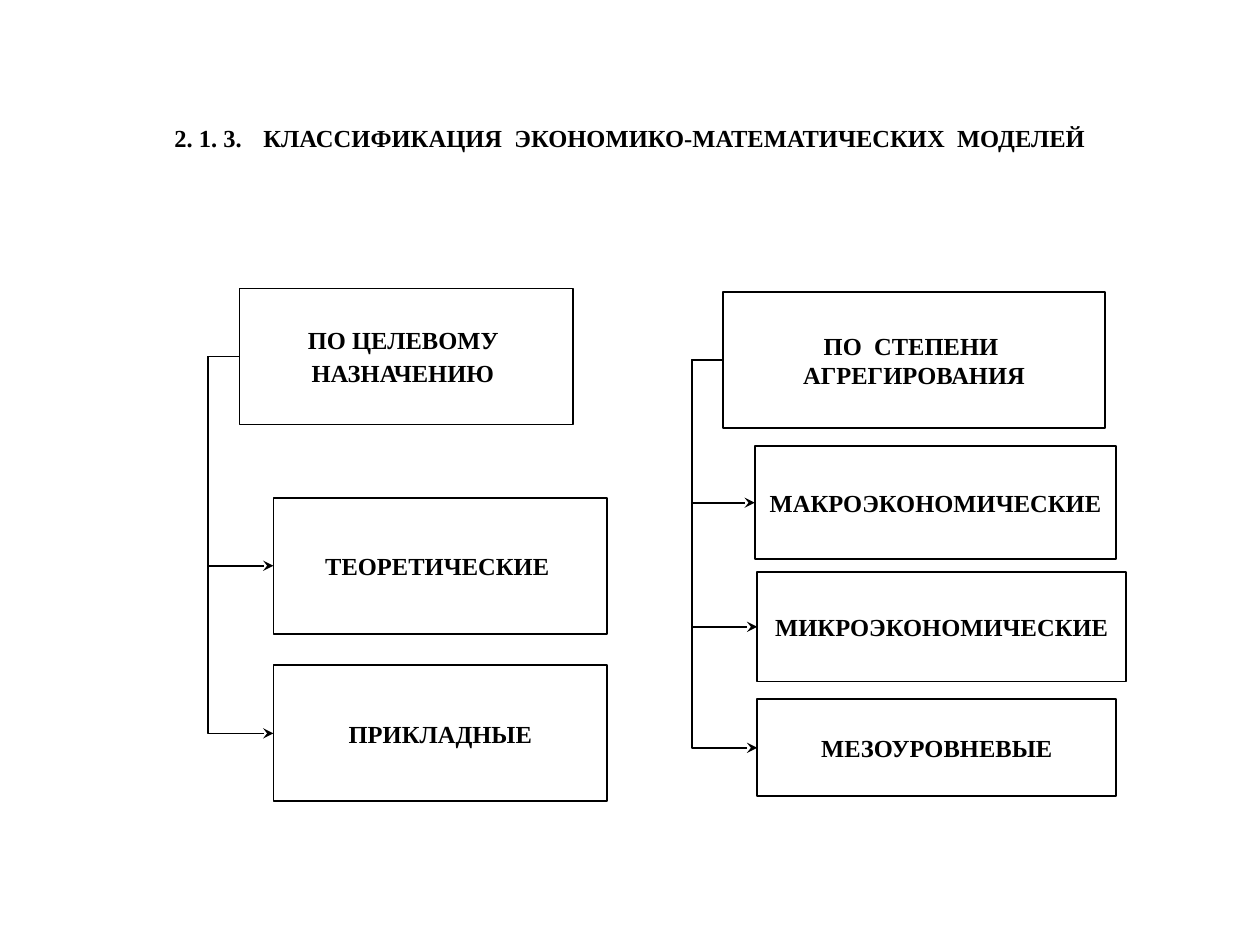
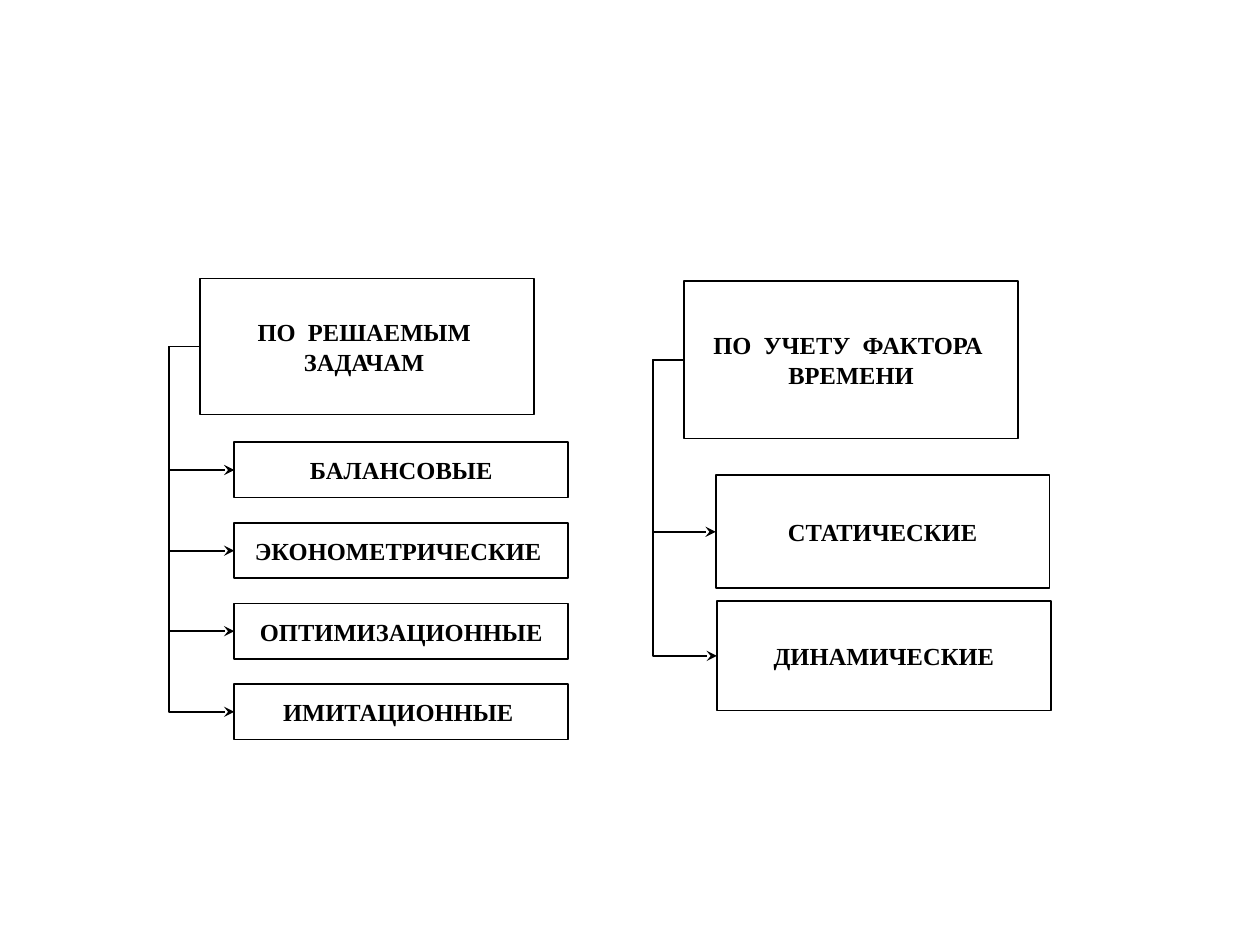
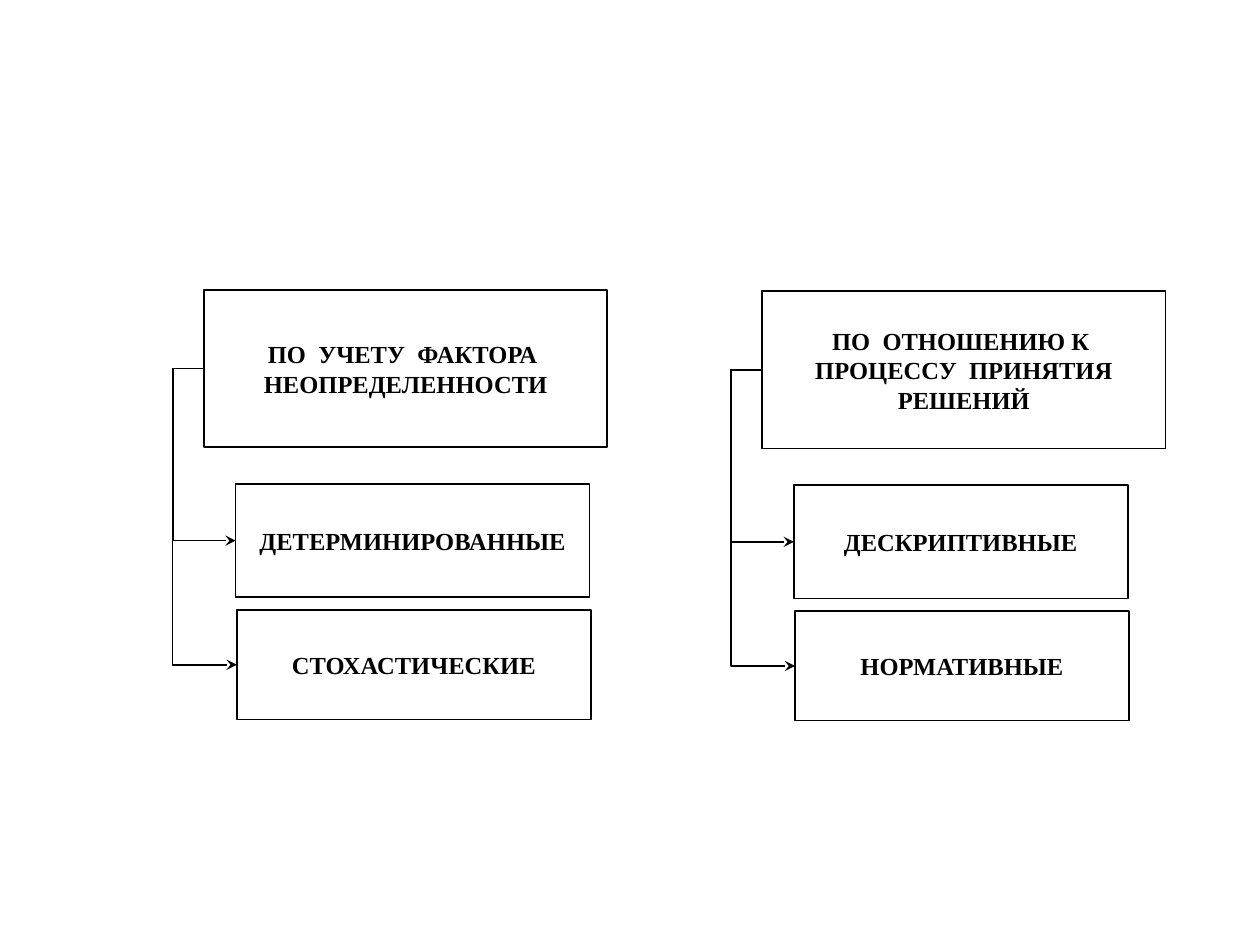
import pptx
import pptx.util
import pptx.dml.color
import pptx.enum.shapes
import pptx.enum.text
import pptx.oxml
import pptx.oxml.ns

COLORS = {"ink": "000000"}
FONT = "Times New Roman"
SPINE_GAP = 0.25
Inches = pptx.util.Inches


def ink():
    return pptx.dml.color.RGBColor.from_string(COLORS["ink"])


def write(para, text, size=14, font=FONT, bold=True):
    span = para.add_run()
    span.text = text
    span.font.size = pptx.util.Pt(size)
    span.font.name = font
    span.font.bold = bold
    span.font.color.rgb = ink()


def center_text(box):
    frame = box.text_frame
    frame.word_wrap = True
    frame.vertical_anchor = pptx.enum.text.MSO_ANCHOR.MIDDLE
    para = frame.paragraphs[0]
    para.alignment = pptx.enum.text.PP_ALIGN.CENTER
    return para


def add_title(page, number, text):
    box = page.shapes.add_textbox(Inches(0.5), Inches(0.3), Inches(9), Inches(1.25))
    para = center_text(box)
    write(para, number)
    write(para, " ", size=44, font="Arial", bold=False)
    write(para, text)


def add_box(page, text, left, top, width, height):
    box = page.shapes.add_shape(
        pptx.enum.shapes.MSO_SHAPE.RECTANGLE,
        Inches(left), Inches(top), Inches(width), Inches(height))
    box.shadow.inherit = False
    box.fill.background()
    box.line.color.rgb = ink()
    box.line.width = pptx.util.Pt(1)
    write(center_text(box), text)
    return box


def add_branch(page, header, child):
    arrow = page.shapes.add_connector(
        pptx.enum.shapes.MSO_CONNECTOR.ELBOW,
        header.left, header.top + header.height // 2,
        child.left, child.top + child.height // 2)
    arrow.begin_connect(header, 1)
    arrow.end_connect(child, 1)
    arrow.line.color.rgb = ink()
    arrow.line.width = pptx.util.Pt(1)
    bend = round(-100000 * Inches(SPINE_GAP) / (child.left - header.left))
    properties = arrow._element.spPr
    frame = properties.find(pptx.oxml.ns.qn("a:xfrm"))
    for name, value in (("rot", "10800000"), ("flipH", "1"), ("flipV", "1")):
        frame.set(name, value)
    guides = properties.find(pptx.oxml.ns.qn("a:prstGeom")).find(pptx.oxml.ns.qn("a:avLst"))
    space = pptx.oxml.ns.nsdecls("a")
    guides.append(pptx.oxml.parse_xml(f'<a:gd {space} name="adj1" fmla="val {bend}"/>'))
    line = properties.find(pptx.oxml.ns.qn("a:ln"))
    line.append(pptx.oxml.parse_xml(f'<a:tailEnd {space} type="stealth"/>'))
    properties.append(pptx.oxml.parse_xml(f"<a:effectLst {space}/>"))


def add_tree(page, title, left, top, width, height, kinds):
    header = add_box(page, title, left, top, width, height)
    for text, across, down, kind_width, kind_height in kinds:
        child = add_box(page, text, left + across, top + down, kind_width, kind_height)
        add_branch(page, header, child)
    return header


def even_kinds(names, first, step, height):
    return [(name, 0.27, first + step * index, 2.65, height)
            for index, name in enumerate(names)]


def paired_kinds(upper, lower, width=2.65):
    return [(upper, 0.25, 1.54, width, 0.9), (lower, 0.26, 2.54, width, 0.87)]


def build_purpose_page(page):
    add_title(page, "2. 1. 3.", "КЛАССИФИКАЦИЯ  ЭКОНОМИКО-МАТЕМАТИЧЕСКИХ  МОДЕЛЕЙ")
    header = add_tree(page, "ПО ЦЕЛЕВОМУ  НАЗНАЧЕНИЮ", 1.9, 2.29, 2.65, 1.08,
                      even_kinds(["ТЕОРЕТИЧЕСКИЕ ", "ПРИКЛАДНЫЕ"], 1.66, 1.33, 1.08))
    write(header.text_frame.paragraphs[0], " ", size=16, bold=False)
    add_tree(page, "ПО  СТЕПЕНИ  АГРЕГИРОВАНИЯ", 5.74, 2.32, 3.03, 1.08, [
        ("МАКРОЭКОНОМИЧЕСКИЕ", 0.25, 1.22, 2.87, 0.9),
        ("МИКРОЭКОНОМИЧЕСКИЕ", 0.27, 2.22, 2.93, 0.87),
        ("МЕЗОУРОВНЕВЫЕ", 0.27, 3.23, 2.85, 0.77),
    ])


def build_task_page(page):
    tasks = ["БАЛАНСОВЫЕ", "ЭКОНОМЕТРИЧЕСКИЕ ", "ОПТИМИЗАЦИОННЫЕ", "ИМИТАЦИОННЫЕ "]
    add_tree(page, "ПО  РЕШАЕМЫМ  ЗАДАЧАМ ", 1.59, 2.21, 2.65, 1.08,
             even_kinds(tasks, 1.3, 0.64, 0.44))
    add_tree(page, "ПО  УЧЕТУ  ФАКТОРА  ВРЕМЕНИ", 5.43, 2.23, 2.65, 1.25,
             paired_kinds("СТАТИЧЕСКИЕ", "ДИНАМИЧЕСКИЕ"))


def build_uncertainty_page(page):
    add_tree(page, "ПО  УЧЕТУ  ФАКТОРА  НЕОПРЕДЕЛЕННОСТИ", 1.62, 2.3, 3.2, 1.25,
             paired_kinds("ДЕТЕРМИНИРОВАННЫЕ", "СТОХАСТИЧЕСКИЕ", width=2.81))
    add_tree(page, "ПО  ОТНОШЕНИЮ К  ПРОЦЕССУ  ПРИНЯТИЯ РЕШЕНИЙ", 6.05, 2.31, 3.2, 1.25,
             paired_kinds("ДЕСКРИПТИВНЫЕ", "НОРМАТИВНЫЕ"))


def main():
    deck = pptx.Presentation()
    deck.slide_width = Inches(10)
    deck.slide_height = Inches(7.5)
    for build in (build_purpose_page, build_task_page, build_uncertainty_page):
        build(deck.slides.add_slide(deck.slide_layouts[6]))
    deck.save("out.pptx")


if __name__ == "__main__":
    main()
